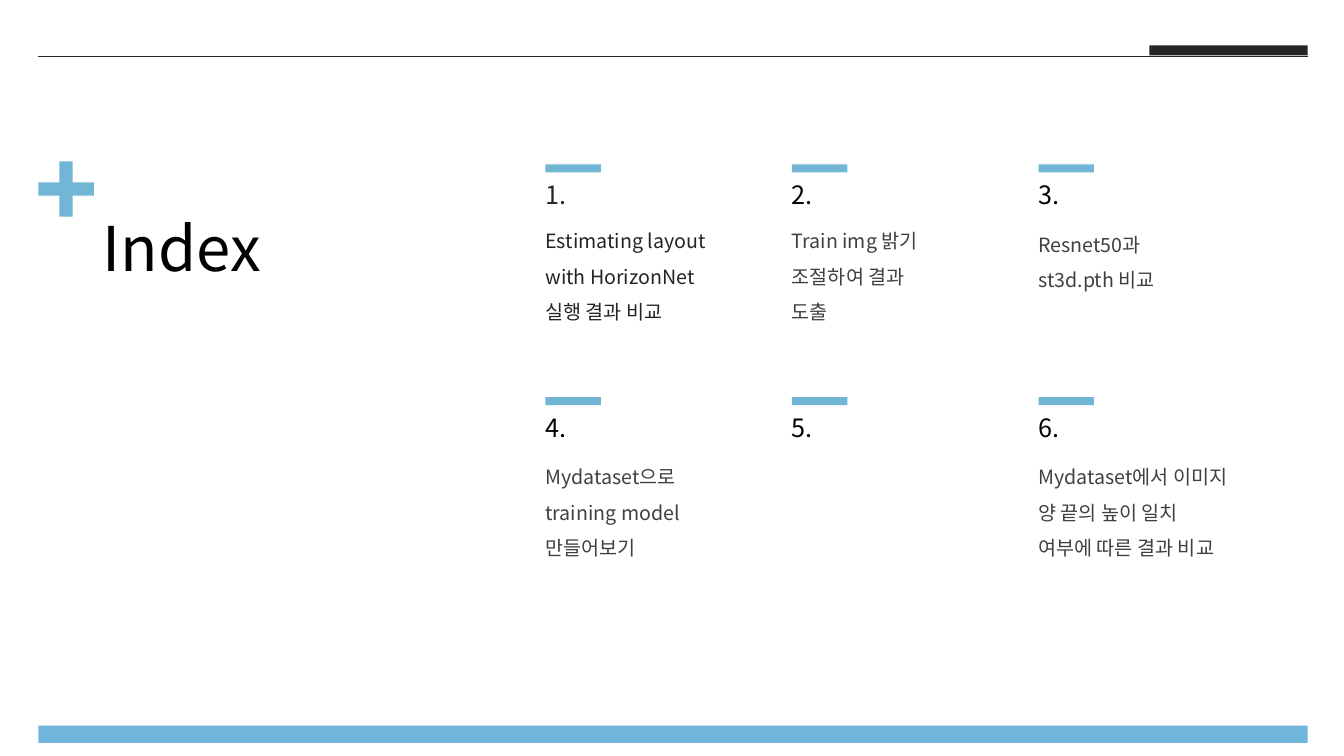
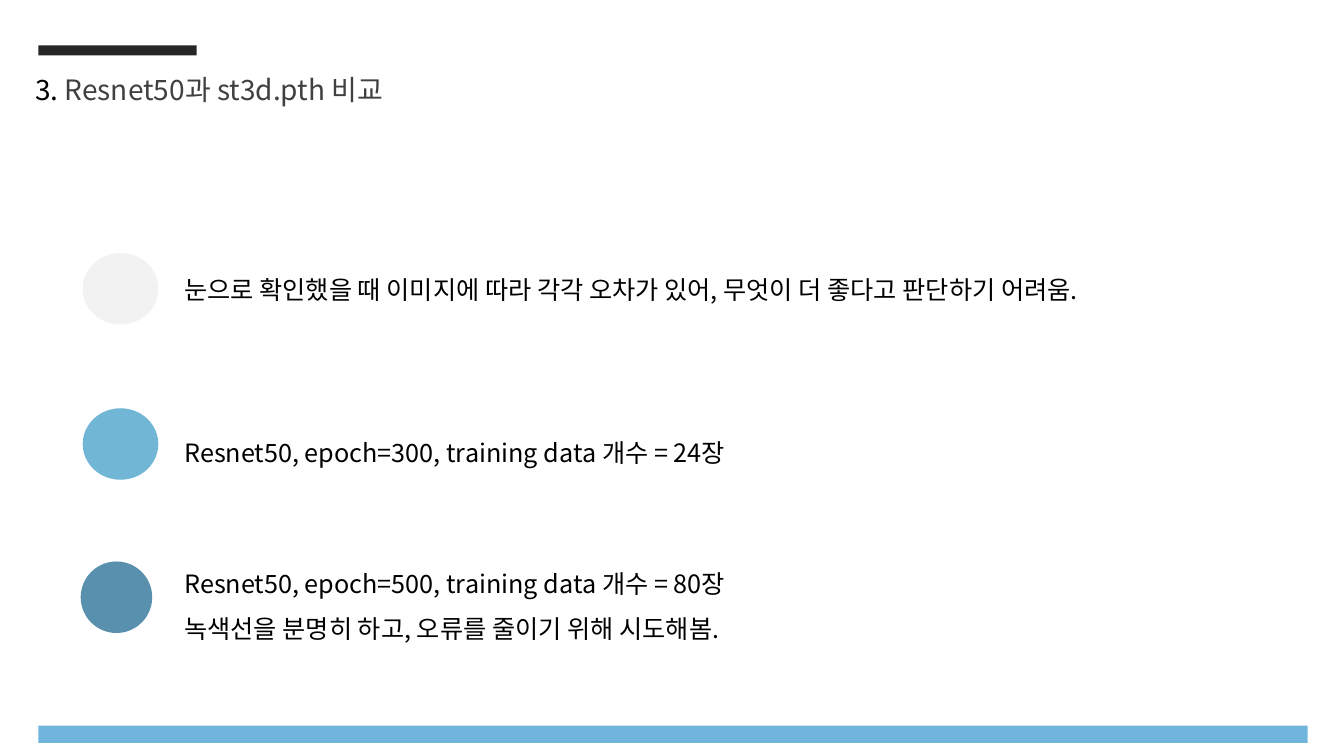
from lxml import etree
from pptx import Presentation
from pptx.dml.color import RGBColor
from pptx.enum import shapes, text
from pptx.oxml import ns
from pptx.util import Inches, Pt

FONT = "Noto Sans CJK KR"
BLACK = RGBColor(0x00, 0x00, 0x00)
INK = RGBColor(0x22, 0x24, 0x26)
DARK = RGBColor(0x26, 0x26, 0x26)
GRAY = RGBColor(0x40, 0x40, 0x40)
PALE = RGBColor(0xF2, 0xF2, 0xF2)
BLUE = RGBColor(0x72, 0xB6, 0xD5)
FOOTER_BLUE = RGBColor(0x6F, 0xB5, 0xDC)
DEEP_BLUE = RGBColor(0x58, 0x90, 0xAD)

# Page frame and index grid
MARGIN, CONTENT_W = 0.38, 12.59
TAB_W = 1.57
GRID_LEFT, GRID_TOP = 5.41, 1.63
COLUMNS = 3
COLUMN_PITCH, ROW_PITCH = (10.3 - 5.41) / 2, 2.31
TEXT_INSET = 0.1

# Body offset below the marker, body width, body colour, paragraphs
INDEX_ITEMS = [
    (0.48, 1.89, INK, ["Estimating layout with HorizonNet", "실행 결과 비교"]),
    (0.48, 1.58, GRAY, ["Train img 밝기 조절하여 결과 도출"]),
    (0.51, 1.69, GRAY, ["Resnet50과 st3d.pth 비교"]),
    (0.51, 1.69, GRAY, ["Mydataset으로 training model 만들어보기"]),
    (0, 0, GRAY, []),
    (0.51, 2.1, GRAY, ["Mydataset에서 이미지 양 끝의 높이 일치 여부에 따른 결과 비교"]),
]

# Circle box, circle colour, text top, text height, line spacing, paragraphs
FINDINGS = [
    ((0.82, 2.51, 0.75, 0.71), PALE, 2.67, 0.4, None,
     ["눈으로 확인했을 때 이미지에 따라 각각 오차가 있어, 무엇이 더 좋다고 판단하기 어려움."]),
    ((0.82, 4.05, 0.75, 0.71), BLUE, 4.14, 0.52, 1.5,
     ["Resnet50, epoch=300, training data 개수 = 24장"]),
    ((0.8, 5.57, 0.71, 0.71), DEEP_BLUE, 5.44, 0.97, 1.5,
     ["Resnet50, epoch=500, training data 개수 = 80장",
      "녹색선을 분명히 하고, 오류를 줄이기 위해 시도해봄."]),
]


def add_block(s, kind, box, color):
    """Add a filled preset shape without an outline."""
    sp = s.shapes.add_shape(kind, *map(Inches, box))
    sp.shadow.inherit = False
    sp.fill.solid()
    sp.fill.fore_color.rgb = color
    sp.line.fill.background()
    return sp


def add_bar(s, box, color):
    return add_block(s, shapes.MSO_SHAPE.RECTANGLE, box, color)


def add_text(s, box, paragraphs, size, spacing=None):
    """Add a text box; each paragraph is a list of (text, colour) runs."""
    tf = s.shapes.add_textbox(*map(Inches, box)).text_frame
    tf.word_wrap = True
    tf.auto_size = text.MSO_AUTO_SIZE.SHAPE_TO_FIT_TEXT
    for i, runs in enumerate(paragraphs):
        p = tf.add_paragraph() if i else tf.paragraphs[0]
        if spacing:
            p.line_spacing = spacing
        for words, color in runs:
            r = p.add_run()
            r.text = words
            r.font.size = Pt(size)
            r.font.name = FONT
            r.font.color.rgb = color
            # Korean glyphs take the East Asian typeface
            ea = etree.SubElement(r.font._element, ns.qn("a:ea"))
            ea.set("typeface", FONT)


def add_rule(s, x1, x2, y):
    line = s.shapes.add_connector(
        shapes.MSO_CONNECTOR.STRAIGHT, Inches(x1), Inches(y), Inches(x2), Inches(y))
    line.line.color.rgb = DARK
    line.line.width = Pt(0.5)
    etree.SubElement(line._element.spPr, ns.qn("a:effectLst"))


def add_page(prs, tab_left):
    """Add a blank slide with the dark top tab and the blue footer band."""
    s = prs.slides.add_slide(prs.slide_layouts[6])
    add_bar(s, (tab_left, 0.45, TAB_W, 0.1), DARK)
    add_bar(s, (MARGIN, 7.2, CONTENT_W, 0.17), FOOTER_BLUE)
    return s


def add_index_item(s, i, body_offset, body_width, color, lines):
    row, column = divmod(i, COLUMNS)
    left = GRID_LEFT + column * COLUMN_PITCH
    top = GRID_TOP + row * ROW_PITCH
    text_left = left - TEXT_INSET
    add_bar(s, (left, top, 0.55, 0.08), BLUE)
    number_color = BLACK if i else INK
    add_text(s, (text_left, top + 0.1, 1.89, 0.4), [[(f"{i + 1}.", number_color)]], 18)
    if lines:
        add_text(s, (text_left, top + body_offset, body_width, 1.13),
                 [[(line, color)] for line in lines], 14, 1.5)


def build_index(prs):
    s = add_page(prs, MARGIN + CONTENT_W - TAB_W)
    add_rule(s, MARGIN, MARGIN + CONTENT_W, 0.56)
    # Title with plus mark
    plus = add_block(s, shapes.MSO_SHAPE.CROSS, (MARGIN, 1.6, 0.55, 0.55), BLUE)
    plus.adjustments[0] = 0.38
    add_text(s, (0.92, 2.03, 3.37, 0.84), [[("Index", BLACK)]], 44)
    # Numbered topics
    for i, item in enumerate(INDEX_ITEMS):
        add_index_item(s, i, *item)


def build_comparison(prs):
    s = add_page(prs, MARGIN)
    add_text(s, (0.25, 0.67, 7.61, 0.44),
             [[("3. ", BLACK), ("Resnet50과 st3d.pth 비교", GRAY)]], 20)
    # Findings with circle markers
    for circle, color, top, height, spacing, lines in FINDINGS:
        add_block(s, shapes.MSO_SHAPE.OVAL, circle, color)
        add_text(s, (1.73, top, 10.75, height),
                 [[(line, BLACK)] for line in lines], 18, spacing)


def main():
    prs = Presentation()
    prs.slide_width, prs.slide_height = Inches(13.33), Inches(7.5)
    build_index(prs)
    build_comparison(prs)
    prs.save("out.pptx")


if __name__ == "__main__":
    main()
